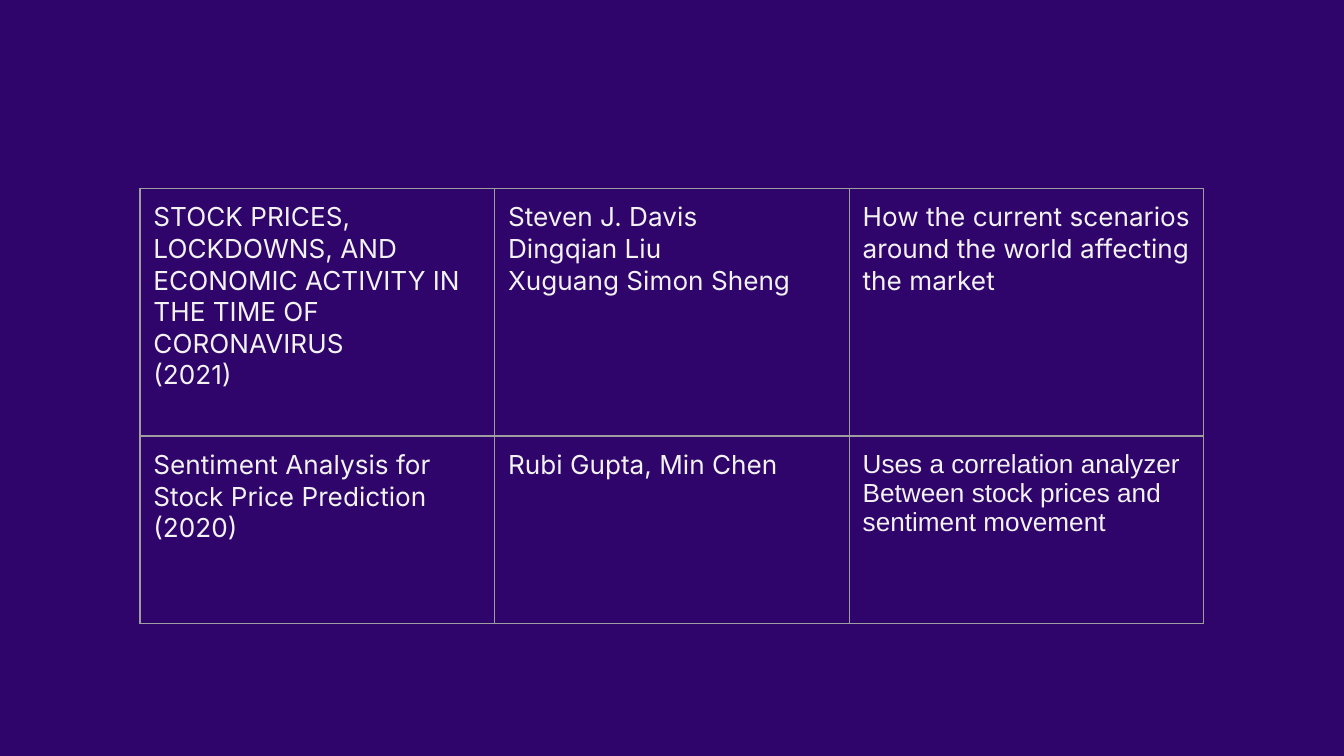
from lxml import etree
from pptx import Presentation
from pptx import util as u
from pptx.dml.color import RGBColor
from pptx.oxml import ns

HUES = {"back": "2F046B", "ink": "F2F2F2", "rule": "9E9E9E"}
FORM = {"size": u.Pt(14), "bold": False, "name": "Inter"}
PADS = {f"margin_{side}": u.Pt(7.2) for side in ("left", "right", "top", "bottom")}
PLAIN = {"first_row": False, "horz_banding": False}

PAPERS = [
    [
        ["STOCK PRICES, LOCKDOWNS, AND ECONOMIC ACTIVITY IN THE TIME OF",
         "CORONAVIRUS", "(2021)"],
        ["Steven J. Davis", "Dingqian Liu", "Xuguang Simon Sheng"],
        ["How the current scenarios around the world affecting the market"],
    ],
    [
        ["Sentiment Analysis for Stock Price Prediction", "(2020)"],
        ["Rubi Gupta, Min Chen"],
        ["Uses a correlation analyzer",
         "Between stock prices and sentiment movement"],
    ],
]
FONTS = {(1, 2): "Arial"}


def apply(item, values):
    for key, value in values.items():
        setattr(item, key, value)


class Deck:
    def __init__(self, wide, high):
        self.show = Presentation()
        apply(self.show, {"slide_width": u.Pt(wide), "slide_height": u.Pt(high)})
        self.slide = self.show.slides.add_slide(self.show.slide_layouts[6])
        fill = self.slide.background.fill
        fill.solid()
        fill.fore_color.rgb = self.hue("back")

    def hue(self, name):
        return RGBColor.from_string(HUES[name])

    def edge(self, cell, weight=0.75):
        props = cell._tc.get_or_add_tcPr()
        for side in "LRTB":
            line = etree.SubElement(props, ns.qn(f"a:ln{side}"), w=str(u.Pt(weight)))
            fill = etree.SubElement(line, ns.qn("a:solidFill"))
            etree.SubElement(fill, ns.qn("a:srgbClr"), val=HUES["rule"])

    def cell(self, cell, lines, font):
        self.edge(cell)
        cell.fill.background()
        apply(cell, PADS)
        cell.text_frame.text = "\n".join(lines)
        for para in cell.text_frame.paragraphs:
            for run in para.runs:
                apply(run.font, {**FORM, "name": font})
                run.font.color.rgb = self.hue("ink")

    def table(self, left, top, width, heights, rows):
        count = len(rows[0])
        frame = self.slide.shapes.add_table(
            len(rows), count, u.Pt(left), u.Pt(top),
            u.Pt(width * count), u.Pt(sum(heights)))
        grid = frame.table
        apply(grid, PLAIN)
        for col in grid.columns:
            col.width = u.Pt(width)
        for r, row in enumerate(rows):
            grid.rows[r].height = u.Pt(heights[r])
            for c, lines in enumerate(row):
                self.cell(grid.cell(r, c), lines, FONTS.get((r, c), FORM["name"]))


deck = Deck(720, 405)
deck.table(75, 100.8, 190, [132.8, 100.4], PAPERS)
deck.show.save("out.pptx")
